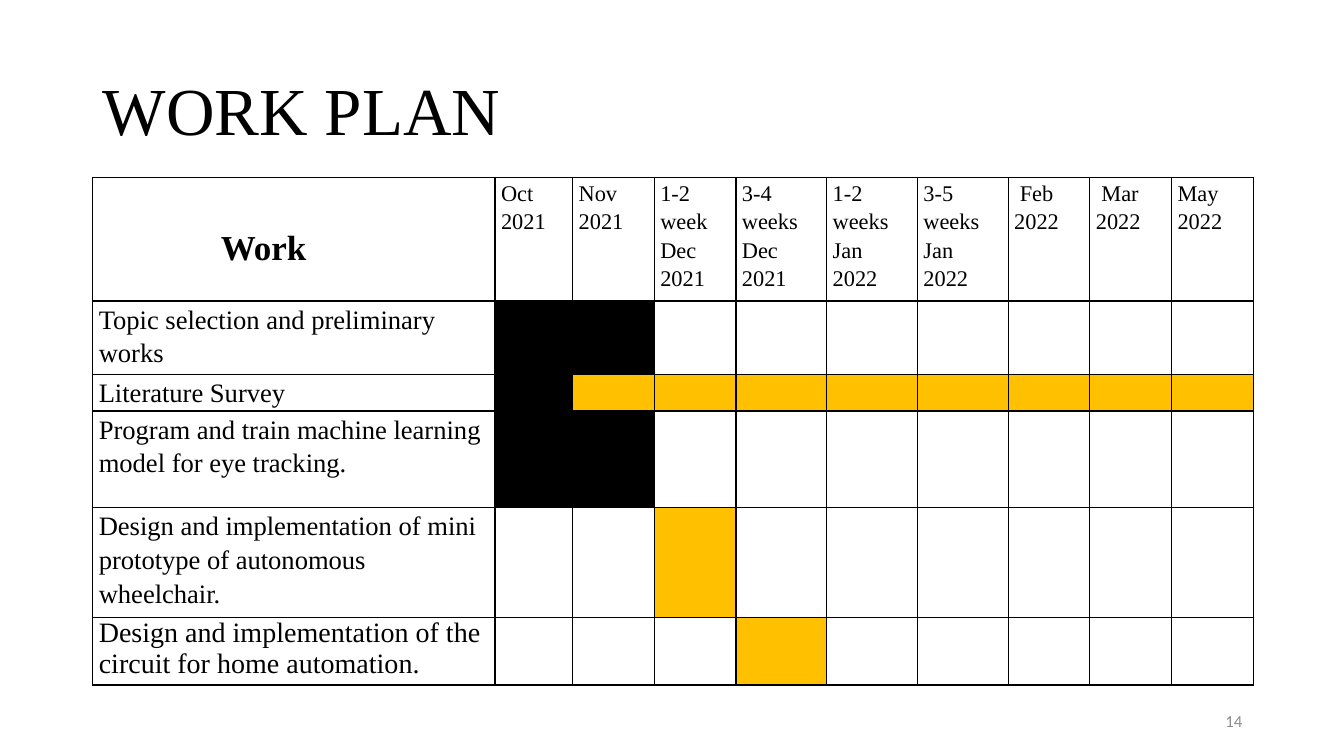
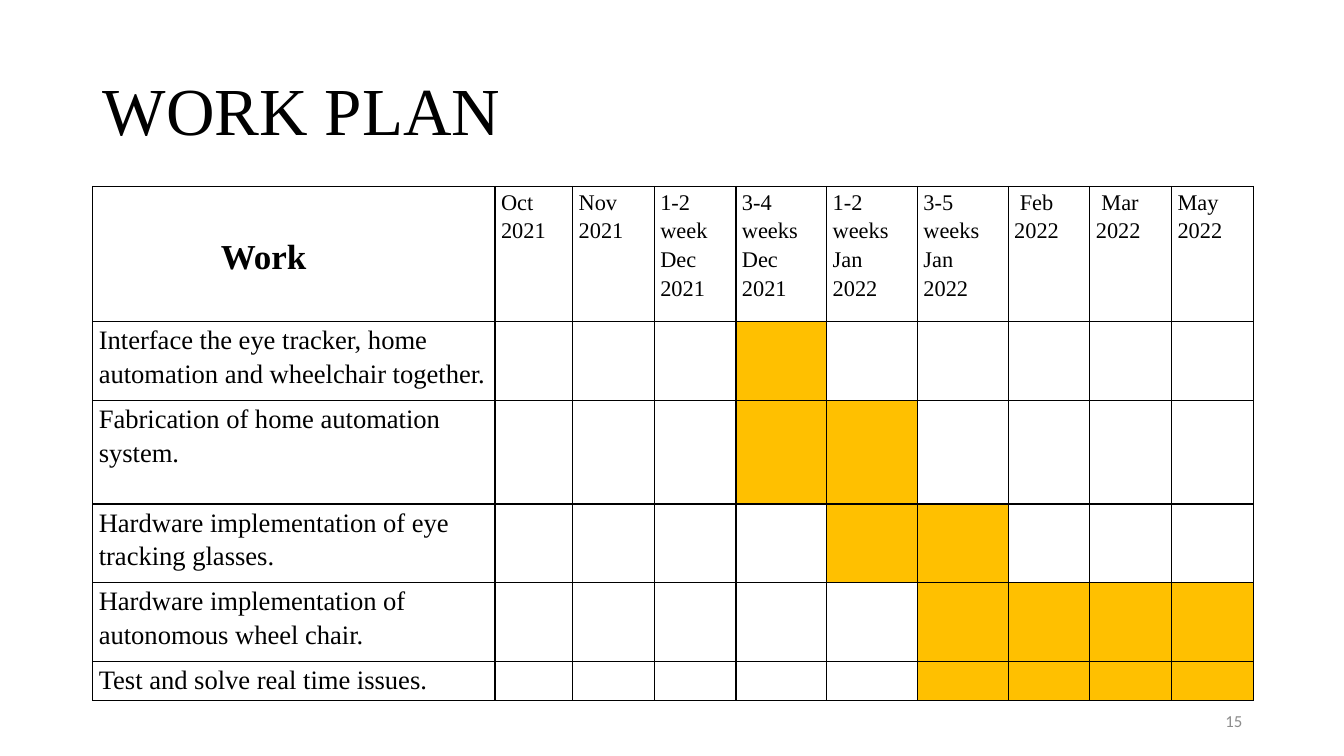
from dataclasses import dataclass

from lxml import etree
from pptx import Presentation
from pptx.dml.color import RGBColor
from pptx.enum.text import MSO_ANCHOR, PP_ALIGN
from pptx.oxml.ns import qn
from pptx.util import Inches, Pt

LEFT, RIGHT = PP_ALIGN.LEFT, PP_ALIGN.RIGHT
MIDDLE = MSO_ANCHOR.MIDDLE

BLACK = RGBColor(0x00, 0x00, 0x00)
AMBER = RGBColor(0xFF, 0xC0, 0x00)
GREY = RGBColor(0x8C, 0x8C, 0x8C)
BODY_FONT = "Times New Roman"
NUMBER_FONT = "Calibri"

SLIDE_WIDTH, SLIDE_HEIGHT = 13.33, 7.5
MARGIN = 0.92
CONTENT_WIDTH = 11.5
NUMBER_WIDTH = 3
CELL_INSET = 0.06
TABLE_SPACING = 1.15

WORK_WIDTH = 3.99
PERIODS = [
    ("Oct 2021", 0.77),
    ("Nov 2021", 0.81),
    ("1-2 week Dec 2021", 0.81),
    ("3-4 weeks Dec 2021", 0.9),
    ("1-2 weeks Jan 2022", 0.9),
    ("3-5 weeks Jan 2022", 0.9),
    (" Feb\n2022", 0.81),
    (" Mar\n2022", 0.81),
    ("May 2022", 0.81),
]
# One letter for each period: D done, P planned, a dot for no work
BAR_COLOURS = {"D": BLACK, "P": AMBER}


@dataclass
class Task:
    name: str
    height: float
    bars: str
    size: int = 19
    spacing: float = TABLE_SPACING


FIRST_TASKS = [
    Task("Topic selection and preliminary works", 0.7, "DD......."),
    Task("Literature Survey", 0.35, "DPPPPPPPP"),
    Task("Program and train machine learning model for eye tracking.", 0.96, "DD......."),
    Task("Design and implementation of mini prototype of autonomous wheelchair.",
         1.01, "..P......"),
    Task("Design and implementation of the circuit for home automation.",
         0.65, "...P.....", 20, 1.0),
]
LATER_TASKS = [
    Task("Interface the eye tracker, home automation and wheelchair together.",
         0.78, "...P....."),
    Task("Fabrication of home automation system.", 1.03, "...PP...."),
    Task("Hardware implementation of eye tracking glasses.", 0.78, "....PP..."),
    Task("Hardware implementation of autonomous wheel chair.", 0.78, ".....PPPP"),
    Task("Test and solve real time issues.", 0.39, ".....PPPP"),
]


def style_text(frame, size, colour=BLACK, font=BODY_FONT, bold=False,
               align=LEFT, spacing=1.0):
    for para in frame.paragraphs:
        para.alignment = align
        para.line_spacing = spacing
        para.font.name = font
        para.font.size = Pt(size)
        para.font.bold = bold
        para.font.color.rgb = colour


def add_title(page, text):
    title = page.shapes.title
    title.left, title.top = Inches(MARGIN), Inches(0.4)
    title.width, title.height = Inches(CONTENT_WIDTH), Inches(1.45)
    title.text_frame.text = text
    title.text_frame.vertical_anchor = MIDDLE
    style_text(title.text_frame, 48, spacing=0.9)


def add_page_number(page, number):
    box = page.shapes.add_textbox(
        Inches(MARGIN + CONTENT_WIDTH - NUMBER_WIDTH), Inches(6.95),
        Inches(NUMBER_WIDTH), Inches(0.4))
    frame = box.text_frame
    frame.word_wrap = True
    frame.vertical_anchor = MIDDLE
    frame.text = str(number)
    style_text(frame, 12, GREY, NUMBER_FONT, align=RIGHT)


def add_borders(cell):
    properties = cell._tc.get_or_add_tcPr()
    for side in ("a:lnL", "a:lnR", "a:lnT", "a:lnB"):
        line = etree.SubElement(properties, qn(side), w=str(Pt(1)))
        fill = etree.SubElement(line, qn("a:solidFill"))
        etree.SubElement(fill, qn("a:srgbClr"), val=str(BLACK))


def format_cell(cell, text="", size=16, fill=None, bold=False, spacing=TABLE_SPACING):
    cell.margin_left = cell.margin_right = Inches(CELL_INSET)
    cell.margin_top = cell.margin_bottom = 0
    add_borders(cell)
    if fill is None:
        cell.fill.background()
    else:
        cell.fill.solid()
        cell.fill.fore_color.rgb = fill
    cell.text = text
    style_text(cell.text_frame, size, bold=bold, spacing=spacing)


def add_plan_table(page, top, header_height, tasks):
    widths = [WORK_WIDTH] + [width for _, width in PERIODS]
    heights = [header_height] + [task.height for task in tasks]
    table = page.shapes.add_table(
        len(heights), len(widths), Inches(MARGIN), Inches(top),
        Inches(sum(widths)), Inches(sum(heights))).table
    table.first_row = table.horz_banding = False
    for column, width in zip(table.columns, widths):
        column.width = Inches(width)
    for row, height in zip(table.rows, heights):
        row.height = Inches(height)

    work = table.cell(0, 0)
    format_cell(work, "Work", 25, bold=True)
    work.margin_left, work.margin_top = Inches(1.27), Inches(0.46)
    for column, (period, _) in enumerate(PERIODS, 1):
        format_cell(table.cell(0, column), period)

    for row, task in enumerate(tasks, 1):
        format_cell(table.cell(row, 0), task.name, task.size, spacing=task.spacing)
        for column, bar in enumerate(task.bars, 1):
            format_cell(table.cell(row, column), fill=BAR_COLOURS.get(bar))


def add_plan_page(deck, number, top, header_height, tasks):
    title_only = deck.slide_layouts[5]
    page = deck.slides.add_slide(title_only)
    add_title(page, "WORK PLAN")
    add_page_number(page, number)
    add_plan_table(page, top, header_height, tasks)


def main():
    deck = Presentation()
    deck.slide_width, deck.slide_height = Inches(SLIDE_WIDTH), Inches(SLIDE_HEIGHT)
    add_plan_page(deck, 14, 1.76, 1.18, FIRST_TASKS)
    add_plan_page(deck, 15, 1.85, 1.34, LATER_TASKS)
    deck.save("out.pptx")


if __name__ == "__main__":
    main()
